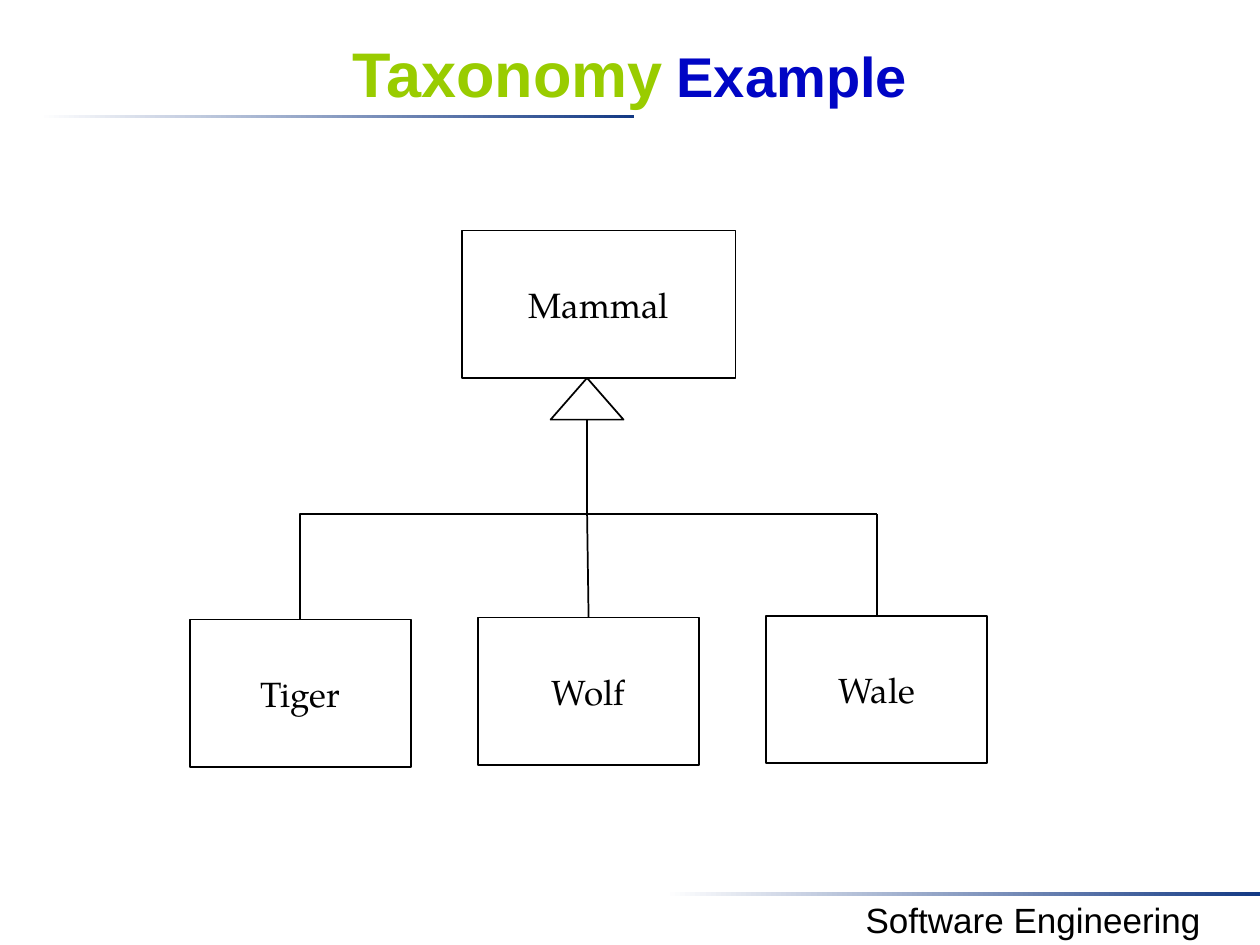
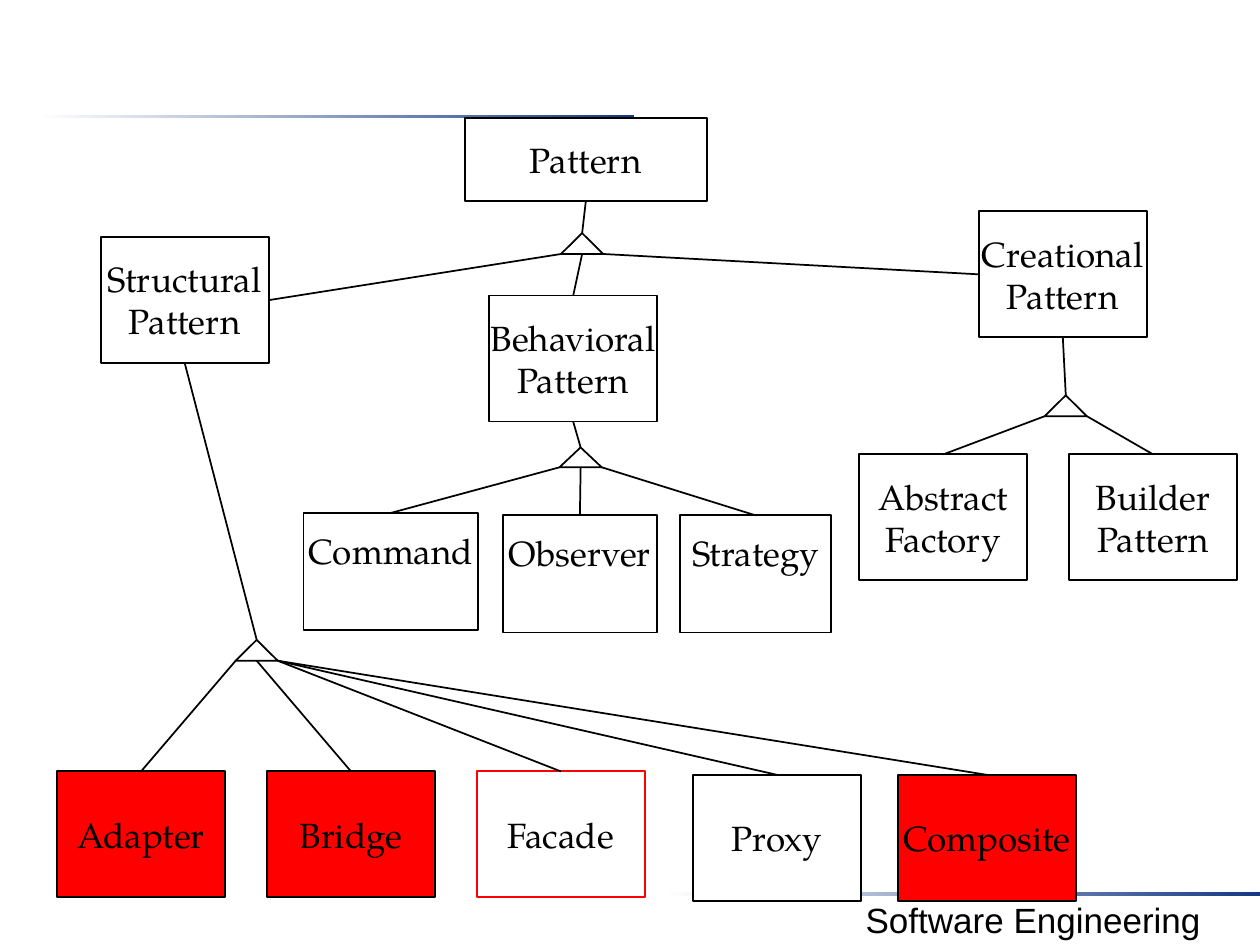
from dataclasses import dataclass
from typing import Optional

from lxml import etree
from pptx import Presentation
from pptx import util as u
from pptx.dml.color import RGBColor
from pptx.enum import shapes, text
from pptx.oxml.ns import qn

COLORS = {
    "white": "FFFFFF",
    "black": "000000",
    "navy": "133984",
    "blue": "0005C5",
    "green": "99CC00",
    "red": "FF0000",
}
SANS = "Arial"
SERIF = "TeX Gyre Pagella"
LINE_PT = 1
TEXT_PT = 20
TEXT_LINE = 0.85
INSET = 0.13


@dataclass
class Box:
    label: str
    x: float
    y: float
    w: float = 3.39
    h: float = 2.54
    fill: Optional[str] = "white"
    line: str = "black"
    lines_below: int = 0


@dataclass
class Triangle:
    x: float
    y: float
    w: float = 0.85
    h: float = 0.42

    def base(self, share: float) -> tuple[float, float]:
        return self.x + self.w * share, self.y + self.h


@dataclass
class Child:
    label: str
    share: float
    side: int = 0


@dataclass
class Branch:
    parent: str
    triangle: Triangle
    children: list[Child]


@dataclass
class Rule:
    x: float
    y: float
    w: float = 12
    h: float = 0.08


RULES = [Rule(0.79, 2.31), Rule(13.41, 17.98)]

MAMMAL = Box("Mammal", 9.32, 4.65, 5.51, 2.97, None)
SPECIES = [
    Box(name, x, y, 4.45, 2.97, None)
    for name, x, y in [("Tiger", 3.83, 12.49), ("Wolf", 9.64, 12.45), ("Wale", 15.45, 12.42)]
]
MAMMAL_TRIANGLE = Triangle(11.1, 7.62, 1.47, 0.84)
FORK_Y = 10.36

COLUMN = 4.23
PATTERNS = [
    Box("Pattern", 9.37, 2.38, 4.88, 1.68),
    Box("Structural\nPattern", 2.03, 4.78),
    Box("Behavioral\nPattern", 9.86, 5.96),
    Box("Creational\nPattern", 19.73, 4.26),
    Box("Adapter", 1.15, 15.55, fill="red"),
    Box("Bridge", 1.15 + COLUMN, 15.55, fill="red"),
    Box("Facade", 1.15 + 2 * COLUMN, 15.55, line="red"),
    Box("Proxy", 13.97, 15.62),
    Box("Composite", 18.1, 15.62, 3.59, fill="red"),
    Box("Command", 6.12, 10.34, 3.52, 2.36, lines_below=1),
    Box("Observer", 10.14, 10.39, 3.1, 2.36, lines_below=1),
    Box("Strategy", 13.71, 10.39, 3.05, 2.36, lines_below=1),
    Box("Abstract\nFactory", 17.32, 9.16),
    Box("Builder\nPattern", 17.32 + COLUMN, 9.16),
]
BRANCHES = [
    Branch("Pattern", Triangle(11.31, 4.7), [
        Child("Structural\nPattern", 0, 3),
        Child("Behavioral\nPattern", 0.5),
        Child("Creational\nPattern", 1, 1),
    ]),
    Branch("Structural\nPattern", Triangle(4.75, 12.9), [
        Child("Adapter", 0),
        Child("Bridge", 0.5),
        Child("Facade", 1),
        Child("Proxy", 1),
        Child("Composite", 1),
    ]),
    Branch("Behavioral\nPattern", Triangle(11.28, 9.02, h=0.4), [
        Child("Command", 0),
        Child("Observer", 0.5),
        Child("Strategy", 1),
    ]),
    Branch("Creational\nPattern", Triangle(21.06, 7.97), [
        Child("Abstract\nFactory", 0),
        Child("Builder\nPattern", 1),
    ]),
]


def rgb(name: str) -> RGBColor:
    return RGBColor.from_string(COLORS[name])


def style_font(font, name: str, size: float, color: str) -> None:
    font.name = name
    font.size = u.Pt(size)
    font.color.rgb = rgb(color)


def add_preset(slide, kind, x: float, y: float, w: float, h: float):
    sp = slide.shapes.add_shape(kind, u.Cm(x), u.Cm(y), u.Cm(w), u.Cm(h))
    sp.shadow.inherit = False
    return sp


def outline(sp, fill: Optional[str], line: str) -> None:
    if fill:
        sp.fill.solid()
        sp.fill.fore_color.rgb = rgb(fill)
    else:
        sp.fill.background()
    sp.line.color.rgb = rgb(line)
    sp.line.width = u.Pt(LINE_PT)


def add_frame(slide) -> None:
    for rule in RULES:
        sp = add_preset(slide, shapes.MSO_SHAPE.RECTANGLE, rule.x, rule.y, rule.w, rule.h)
        sp.fill.gradient()
        sp.fill.gradient_angle = 0
        for stop, color in zip(sp.fill.gradient_stops, ("white", "navy")):
            stop.color.rgb = rgb(color)
        sp.line.fill.background()
    tf = slide.shapes.add_textbox(u.Cm(16.26), u.Cm(17.98), u.Cm(9.14), u.Cm(1.12)).text_frame
    tf.word_wrap = True
    p = tf.paragraphs[0]
    p.text = "Software Engineering"
    p.alignment = text.PP_ALIGN.CENTER
    style_font(p.font, SANS, TEXT_PT, "black")


def add_title(slide, parts: list[tuple[str, float, str]]) -> None:
    sp = slide.shapes.title
    sp.left, sp.top, sp.width, sp.height = u.Cm(0), u.Cm(0.5), u.Cm(25.4), u.Cm(1.9)
    tf = sp.text_frame
    tf.vertical_anchor = text.MSO_ANCHOR.MIDDLE
    tf.margin_top, tf.margin_bottom = u.Cm(0.15), u.Cm(INSET)
    p = tf.paragraphs[0]
    p.alignment = text.PP_ALIGN.CENTER
    p.font.bold = True
    for words, size, color in parts:
        r = p.add_run()
        r.text = words
        style_font(r.font, SANS, size, color)


def add_box(slide, box: Box):
    sp = add_preset(slide, shapes.MSO_SHAPE.RECTANGLE, box.x, box.y, box.w, box.h)
    outline(sp, box.fill, box.line)
    tf = sp.text_frame
    tf.text = box.label
    tf.word_wrap = False
    tf.vertical_anchor = text.MSO_ANCHOR.MIDDLE
    tf.margin_bottom = u.Cm(INSET + box.lines_below * TEXT_LINE)
    for p in tf.paragraphs:
        p.alignment = text.PP_ALIGN.CENTER
        style_font(p.font, SERIF, TEXT_PT, "black")
    return sp


def add_triangle(slide, tri: Triangle):
    sp = add_preset(slide, shapes.MSO_SHAPE.ISOSCELES_TRIANGLE, tri.x, tri.y, tri.w, tri.h)
    outline(sp, "white", "black")
    return sp


def add_line(slide, start: tuple[float, float], end: tuple[float, float],
             kind=shapes.MSO_CONNECTOR.STRAIGHT):
    c = slide.shapes.add_connector(kind, *(u.Cm(v) for v in (*start, *end)))
    c.line.color.rgb = rgb("black")
    c.line.width = u.Pt(LINE_PT)
    etree.SubElement(c.element.spPr, qn("a:effectLst"))
    return c


def add_corner(slide, start: tuple[float, float], end: tuple[float, float]) -> None:
    run, rise = end[0] - start[0], start[1] - end[1]
    mid_x, mid_y = (start[0] + end[0]) / 2, (start[1] + end[1]) / 2
    c = add_line(slide, (mid_x - rise / 2, mid_y - run / 2),
                 (mid_x + rise / 2, mid_y + run / 2), shapes.MSO_CONNECTOR.ELBOW)
    c.element.spPr.find(qn("a:xfrm")).set("rot", str(270 * 60000))
    c.element.spPr.find(qn("a:prstGeom")).set("prst", "bentConnector2")


def build_taxonomy(prs) -> None:
    slide = prs.slides.add_slide(prs.slide_layouts[5])
    add_frame(slide)
    add_title(slide, [("Taxonomy", 36, "green"), (" ", 28, "navy"), ("Example", 32, "blue")])
    add_box(slide, MAMMAL)
    tiger, wolf, wale = SPECIES
    _, wolf_sp, wale_sp = [add_box(slide, box) for box in SPECIES]
    add_triangle(slide, MAMMAL_TRIANGLE)
    stem = MAMMAL_TRIANGLE.base(0.5)
    fork = (stem[0], FORK_Y)
    wale_x = wale.x + wale.w / 2
    add_line(slide, stem, fork)
    add_corner(slide, (tiger.x + tiger.w / 2, tiger.y), fork)
    add_line(slide, fork, (wolf.x, wolf.y)).end_connect(wolf_sp, 0)
    add_line(slide, fork, (wale_x, FORK_Y))
    add_line(slide, (wale_x, FORK_Y), (wale_x, wale.y)).end_connect(wale_sp, 0)


def build_patterns(prs) -> None:
    slide = prs.slides.add_slide(prs.slide_layouts[6])
    add_frame(slide)
    boxes = {box.label: add_box(slide, box) for box in PATTERNS}
    for branch in BRANCHES:
        tri = branch.triangle
        sp = add_triangle(slide, tri)
        c = add_line(slide, (tri.x, tri.y), (tri.x, tri.y))
        c.begin_connect(sp, 0)
        c.end_connect(boxes[branch.parent], 2)
        for child in branch.children:
            start = tri.base(child.share)
            add_line(slide, start, start).end_connect(boxes[child.label], child.side)


def main() -> None:
    prs = Presentation()
    prs.slide_width, prs.slide_height = u.Cm(25.4), u.Cm(19.05)
    build_taxonomy(prs)
    build_patterns(prs)
    prs.save("out.pptx")


if __name__ == "__main__":
    main()
